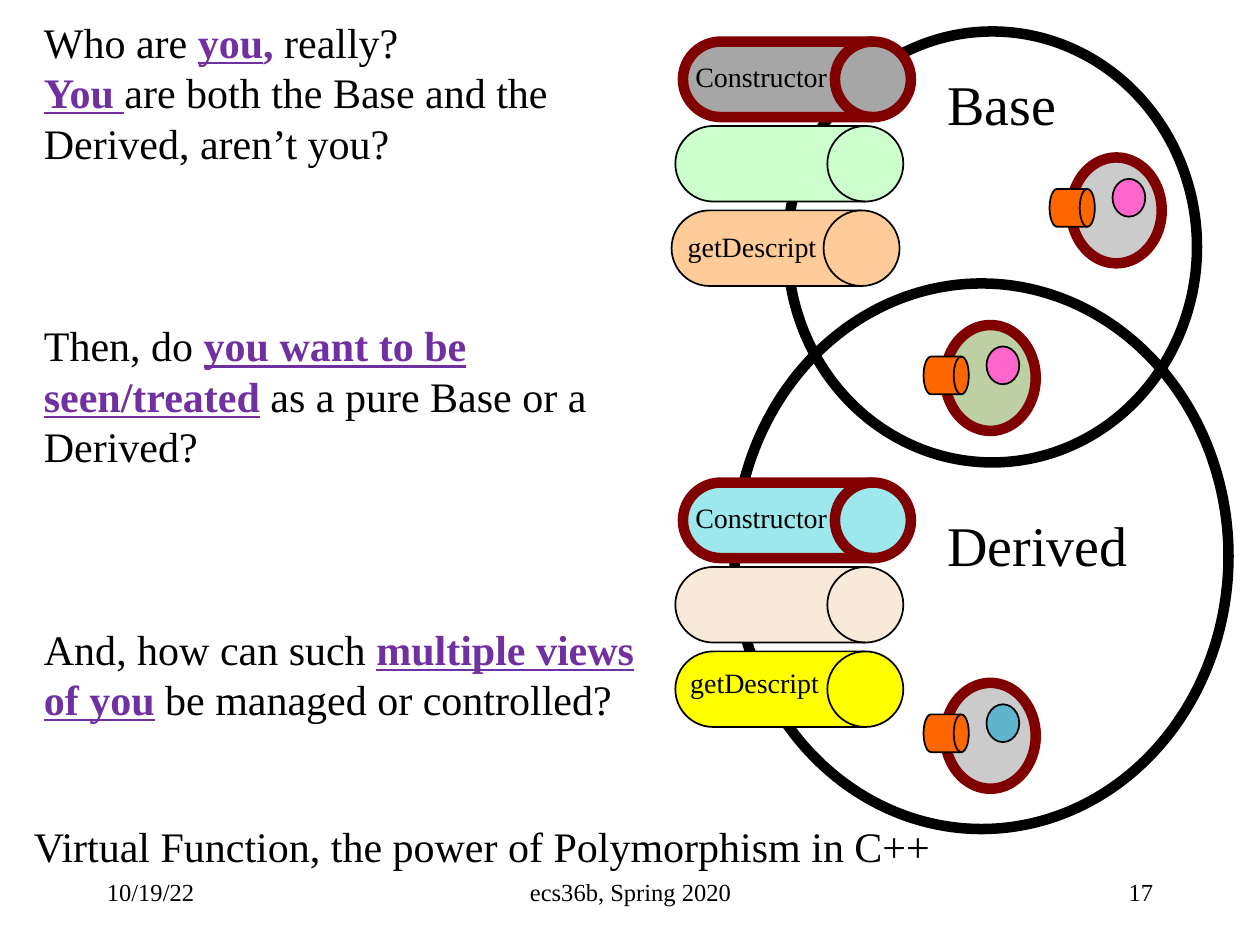
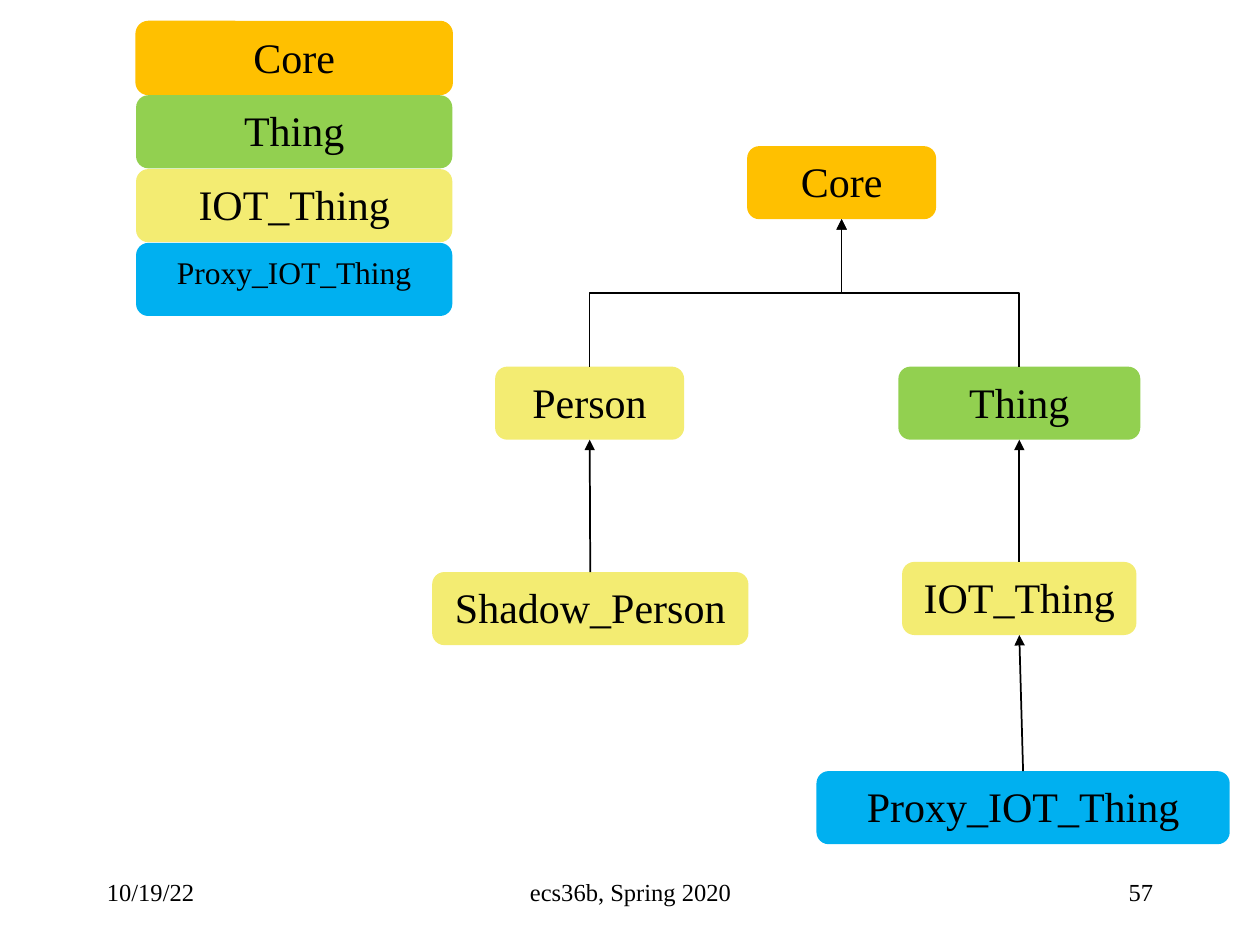
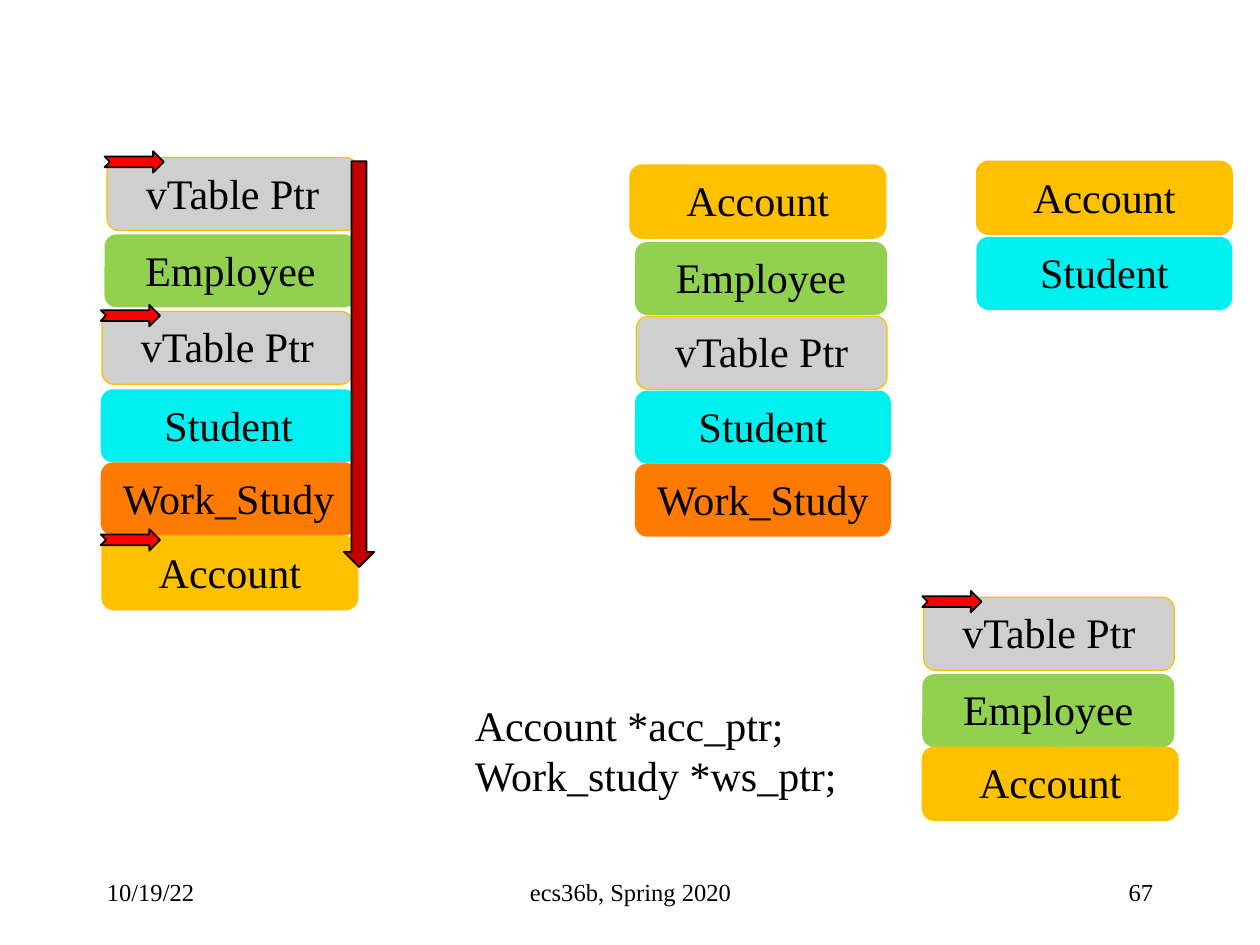
from dataclasses import dataclass

from lxml import etree
from pptx import Presentation
from pptx import util as u
from pptx.dml.color import RGBColor
from pptx.enum import shapes, text
from pptx.oxml import ns

KIND = shapes.MSO_SHAPE
ALIGN = text.PP_ALIGN
ANCHOR = text.MSO_ANCHOR


@dataclass(frozen=True)
class Theme:
    font: str = "Times New Roman"
    ink: str = "000000"
    emphasis: str = "7030A0"
    maroon: str = "800000"
    gold: str = "FFC000"
    green: str = "92D050"
    straw: str = "F3EC72"
    blue: str = "00B0F0"
    cyan: str = "00F0F0"
    orange: str = "FF7A00"
    gray: str = "CFCFCF"
    red: str = "FF0000"
    dark_red: str = "C00000"
    port: str = "FF6600"
    pink: str = "FF66CC"
    teal: str = "60B5CC"
    state: str = "CBCBCB"
    shared_state: str = "BCD0A3"
    footer_size: int = 14
    label_size: int = 16
    small_size: int = 18
    body_size: int = 24
    name_size: int = 32
    thin: float = 1
    edge: float = 0.75
    thick: float = 6


THEME = Theme()
ROW_HEIGHT = 0.58
FOOTER = "ecs36b, Spring 2020"
DATE = "10/19/22"


def assign(target, **values):
    for key, value in values.items():
        setattr(target, key, value)


def inches(*lengths):
    return [u.Inches(round(length, 3)) for length in lengths]


def write(frame, paragraphs, size, align=ALIGN.LEFT, anchor=ANCHOR.TOP, gaps=()):
    assign(frame, word_wrap=True, vertical_anchor=anchor)
    for index, runs in enumerate(paragraphs):
        line = frame.paragraphs[0] if index == 0 else frame.add_paragraph()
        line.alignment = align
        if index in gaps:
            line.space_before = u.Pt(gaps[index])
        for words, color, bold, underline in runs:
            run = line.add_run()
            run.text = words
            assign(run.font, name=THEME.font, size=u.Pt(size), bold=bold, underline=underline)
            run.font.color.rgb = RGBColor.from_string(color)


def plain(words):
    return [(words, THEME.ink, False, False)]


def strong(words, underline=True):
    return [(words, THEME.emphasis, True, underline)]


def add_text(slide, box, paragraphs, size, **layout):
    write(slide.shapes.add_textbox(*inches(*box)).text_frame, paragraphs, size, **layout)


def add_figure(slide, kind, box, fill=None, line=None, weight=THEME.thin):
    figure = slide.shapes.add_shape(kind, *inches(*box))
    figure.shadow.inherit = False
    if fill:
        figure.fill.solid()
        figure.fill.fore_color.rgb = RGBColor.from_string(fill)
    else:
        figure.fill.background()
    if line:
        figure.line.color.rgb = RGBColor.from_string(line)
        figure.line.width = u.Pt(weight)
    else:
        figure.line.fill.background()
    return figure


def add_footer(slide, number):
    entries = [
        (0.75, 2.08, DATE, ALIGN.LEFT),
        (3.42, 3.17, FOOTER, ALIGN.CENTER),
        (7.17, 2.08, number, ALIGN.RIGHT),
    ]
    for left, width, words, align in entries:
        add_text(slide, (left, 6.83, width, 0.5), [plain(words)], THEME.footer_size,
                 align=align, anchor=ANCHOR.MIDDLE)


def add_class_box(slide, left, top, width, name, fill, line=None, size=THEME.body_size):
    class_box = add_figure(slide, KIND.ROUNDED_RECTANGLE, (left, top, width, ROW_HEIGHT),
                           fill, line, THEME.edge)
    write(class_box.text_frame, [plain(name)], size, ALIGN.CENTER)
    return class_box


def add_object(slide, left, top, state, dot):
    add_figure(slide, KIND.OVAL, (left, top, 0.72, 0.84), state, THEME.maroon, THEME.thick)
    add_figure(slide, KIND.FLOWCHART_DIRECT_ACCESS_STORAGE,
               (left - 0.17, top + 0.25, 0.36, 0.3), THEME.port, THEME.ink)
    add_figure(slide, KIND.OVAL, (left + 0.33, top + 0.17, 0.26, 0.3), dot, THEME.ink)


def add_class_circle(slide, left, top, name, circle, methods):
    dx, dy, width, height = circle
    add_figure(slide, KIND.OVAL, (left + dx, top + dy, width, height),
               line=THEME.ink, weight=THEME.thick)
    for index, (label, fill, shift, label_dx, label_dy) in enumerate(methods):
        x, y = left + shift, top + 0.67 * index
        line, weight = (THEME.maroon, THEME.thick) if index == 0 else (THEME.ink, THEME.thin)
        add_figure(slide, KIND.FLOWCHART_DIRECT_ACCESS_STORAGE, (x, y, 1.81, 0.6),
                   fill, line, weight)
        if label:
            add_text(slide, (x + label_dx, y + label_dy, 1.5, 0.37),
                     [plain(label)], THEME.label_size)
    add_text(slide, (left + 2, top + 0.17, 1.83, 0.64), [plain(name)], THEME.name_size)


def add_questions(slide, left, top):
    questions = [
        plain("Who are ") + strong("you") + strong(", ", False) + plain("really?"),
        strong("You ") + plain("are both the Base and the Derived, aren’t you?"),
        plain("Then, do ") + strong("you want to be seen/treated")
        + plain(" as a pure Base or a Derived?"),
        plain("And, how can such ") + strong("multiple views of you")
        + plain(" be managed or controlled?"),
    ]
    add_text(slide, (left, top, 4.98, 5.76), questions, THEME.body_size, gaps={2: 87, 3: 87})


def build_identity(slide):
    add_class_circle(slide, 5.42, 0.33, "Base", (0.83, -0.08, 3.25, 3.42), [
        ("Constructor", "A6A6A6", 0, 0, 0.09),
        ("", "CCFFCC", -0.06, 0, 0),
        ("getDescript", "FFCC99", -0.09, 0.03, 0.1),
    ])
    add_object(slide, 8.5, 1.25, THEME.state, THEME.pink)
    add_object(slide, 7.5, 2.58, THEME.shared_state, THEME.pink)
    add_class_circle(slide, 5.42, 3.83, "Derived", (0.41, -1.58, 3.92, 4.33), [
        ("Constructor", "9CE8EC", 0, 0, 0.09),
        ("", "F9E9D9", -0.06, 0, 0),
        ("getDescript", "FFFF00", -0.06, 0.02, 0.06),
    ])
    add_object(slide, 7.5, 5.42, THEME.state, THEME.teal)
    add_questions(slide, 0.25, 0.08)
    add_text(slide, (0.17, 6.46, 7.38, 0.51),
             [plain("Virtual Function, the power of Polymorphism in C++")], THEME.body_size)


def add_inheritance(slide, child, parent, bent=False):
    kind = shapes.MSO_CONNECTOR.ELBOW if bent else shapes.MSO_CONNECTOR.STRAIGHT
    arrow = slide.shapes.add_connector(kind, 0, 0, 0, 0)
    arrow.begin_connect(child, 0)
    arrow.end_connect(parent, 2)
    if bent:
        turn_upward(arrow)
    arrow.line.color.rgb = RGBColor.from_string(THEME.ink)
    arrow.line.width = u.Pt(THEME.thin)
    etree.SubElement(arrow.line._get_or_add_ln(), ns.qn("a:tailEnd"), type="triangle")
    etree.SubElement(arrow._element.spPr, ns.qn("a:effectLst"))


def turn_upward(arrow):
    start_x, start_y, end_x, end_y = arrow.begin_x, arrow.begin_y, arrow.end_x, arrow.end_y
    run, rise = abs(end_x - start_x), abs(end_y - start_y)
    assign(arrow, left=(start_x + end_x - rise) // 2, top=(start_y + end_y - run) // 2,
           width=rise, height=run)
    frame = arrow._element.spPr.find(ns.qn("a:xfrm"))
    for key, value in {"rot": "5400000", "flipH": "1",
                       "flipV": str(int(end_x > start_x))}.items():
        frame.set(key, value)


def add_layers(slide, left, top):
    layers = [
        ("Core", THEME.gold, THEME.gold, THEME.body_size),
        ("Thing", THEME.green, None, THEME.body_size),
        ("IOT_Thing", THEME.straw, None, THEME.body_size),
        ("Proxy_IOT_Thing", THEME.blue, None, THEME.small_size),
    ]
    for index, (name, fill, line, size) in enumerate(layers):
        add_class_box(slide, left, top + 0.586 * index, 2.51, name, fill, line, size)


def add_hierarchy(slide, left, top):
    nodes = {
        "Core": (2.5, 0, 1.5, THEME.gold),
        "Person": (0.5, 1.75, 1.5, THEME.straw),
        "Thing": (3.7, 1.75, 1.92, THEME.green),
        "Shadow_Person": (0, 3.38, 2.51, THEME.straw),
        "IOT_Thing": (3.73, 3.3, 1.86, THEME.straw),
        "Proxy_IOT_Thing": (3.05, 4.96, 3.28, THEME.blue),
    }
    boxes = {name: add_class_box(slide, left + dx, top + dy, width, name, fill)
             for name, (dx, dy, width, fill) in nodes.items()}
    for child, parent in [("Person", "Core"), ("Thing", "Core"), ("IOT_Thing", "Thing"),
                          ("Proxy_IOT_Thing", "IOT_Thing"), ("Shadow_Person", "Person")]:
        add_inheritance(slide, boxes[child], boxes[parent], bent=parent == "Core")


def build_hierarchy(slide):
    add_layers(slide, 1.08, 0.17)
    add_hierarchy(slide, 3.43, 1.16)


MEMBERS = {
    "vTable Ptr": (1.99, THEME.gray, THEME.gold),
    "Employee": (2, THEME.green, None),
    "Student": (2.03, THEME.cyan, None),
    "Work_Study": (2.03, THEME.orange, None),
    "Account": (2.03, THEME.gold, THEME.gold),
}


def add_memory(slide, left, top, members, pointers=()):
    for name, dx, dy in members:
        width, fill, line = MEMBERS[name]
        add_class_box(slide, left + dx, top + dy, width, name, fill, line)
    for dx, dy in pointers:
        add_figure(slide, KIND.NOTCHED_RIGHT_ARROW, (left + dx, top + dy, 0.47, 0.17),
                   THEME.red, THEME.ink)


def build_memory(slide):
    add_memory(slide, 0.8, 1.25, [
        ("vTable Ptr", 0.05, 0), ("Employee", 0.03, 0.61), ("vTable Ptr", 0.01, 1.22),
        ("Student", 0, 1.84), ("Work_Study", 0, 2.42), ("Account", 0.01, 3.01),
    ], [(0.03, -0.05), (0, 1.17), (0, 2.95)])
    add_figure(slide, KIND.DOWN_ARROW, (2.73, 1.28, 0.24, 3.22), THEME.dark_red, THEME.ink)
    add_memory(slide, 5, 1.31, [
        ("Account", 0, 0), ("Employee", 0.04, 0.61), ("vTable Ptr", 0.05, 1.2),
        ("Student", 0.04, 1.79), ("Work_Study", 0.04, 2.37),
    ])
    add_memory(slide, 7.75, 1.28, [("Account", 0, 0), ("Student", 0, 0.6)])
    add_memory(slide, 7.32, 4.74, [
        ("vTable Ptr", 0.01, 0), ("Employee", 0, 0.61), ("Account", 0, 1.19),
    ], [(0, -0.05)])
    add_text(slide, (3.67, 5.5, 3.1, 0.91),
             [plain("Account *acc_ptr;"), plain("Work_study *ws_ptr;")], THEME.body_size)


def main():
    deck = Presentation()
    assign(deck, slide_width=u.Inches(10), slide_height=u.Inches(7.5))
    for build, number in [(build_identity, "17"), (build_hierarchy, "57"), (build_memory, "67")]:
        slide = deck.slides.add_slide(deck.slide_layouts[6])
        build(slide)
        add_footer(slide, number)
    deck.save("out.pptx")


if __name__ == "__main__":
    main()
